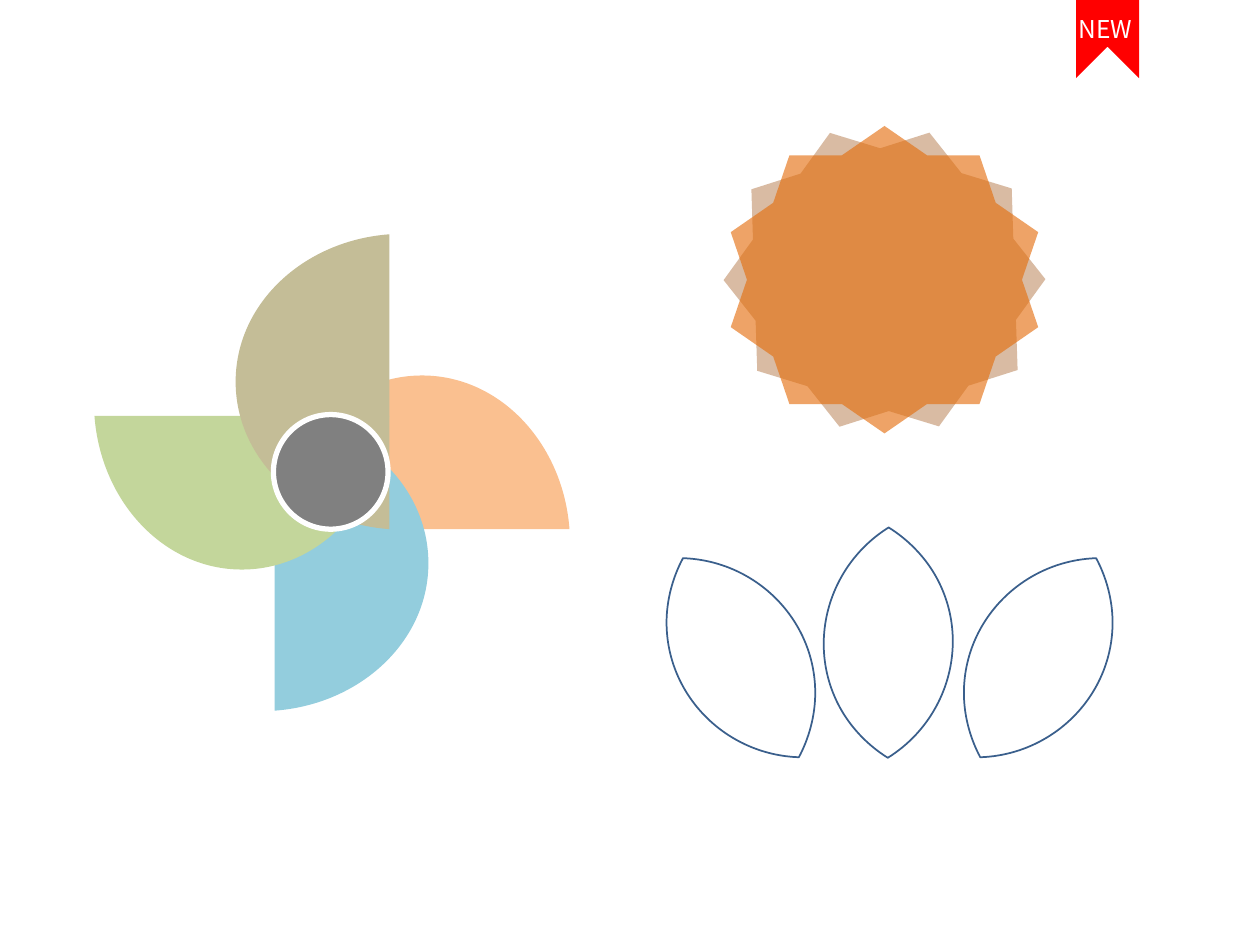
from dataclasses import dataclass

from lxml import etree
from pptx import Presentation
from pptx.dml.color import RGBColor
from pptx.enum.shapes import MSO_SHAPE
from pptx.enum.text import MSO_AUTO_SIZE
from pptx.oxml.ns import qn
from pptx.util import Inches, Pt

ELLIPSE = MSO_SHAPE.OVAL
STAR = MSO_SHAPE.STAR_10_POINT
FIT_TEXT = MSO_AUTO_SIZE.SHAPE_TO_FIT_TEXT


@dataclass(frozen=True)
class Theme:
    orange: str = "FAC090"
    blue: str = "93CDDD"
    green: str = "C3D69B"
    tan: str = "C4BD97"
    hub: str = "808080"
    white: str = "FFFFFF"
    petal_line: str = "3A5F8C"
    star_back: str = "984807"
    star_front: str = "E46C0A"
    ribbon: str = "FF0000"
    font: str = "Noto Sans CJK KR"
    label_size: int = 14


THEME = Theme()

# Outlines around their own centre, in inches: start, straight points, curve points
BLADE = [(-1.17, 0.61), (1.17, 0.61),
         (1.12, -0.07), (0.62, -0.61), (0, -0.61),
         (-0.62, -0.61), (-1.12, -0.07), (-1.17, 0.61)]
PETAL_HALF = [(0.64, 0.54), (0.46, 0.59), (0.28, 0.59),
              (-0.3, 0.59), (-0.77, 0.12), (-0.79, -0.46)]
PETAL = [(0.79, 0.46)] + PETAL_HALF + [(-x, -y) for x, y in PETAL_HALF]
RIBBON = [(-0.31, -0.25), (0.31, -0.25), (0.31, 0.25), (-0.31, 0.25), (-0.06, 0)]


def style(sp, fill=None, line=None, width=1, alpha=None):
    sp.shadow.inherit = False
    if fill:
        sp.fill.solid()
        sp.fill.fore_color.rgb = RGBColor.from_string(fill)
    else:
        sp.fill.background()
    if alpha:
        color = sp._element.spPr.find(qn("a:solidFill"))[0]
        etree.SubElement(color, qn("a:alpha"), val=str(alpha * 1000))
    if line:
        sp.line.color.rgb = RGBColor.from_string(line)
        sp.line.width = Pt(width)
    else:
        sp.line.fill.background()
    return sp


def curve_segments(sp, straight):
    """Join each three segments after the straight ones into one Bezier curve."""
    path = sp._element.find(".//" + qn("a:path"))
    segments = path.findall(qn("a:lnTo"))[straight:]
    for i in range(0, len(segments) - 2, 3):
        curve = etree.Element(qn("a:cubicBezTo"))
        segments[i].addprevious(curve)
        for segment in segments[i:i + 3]:
            curve.append(segment[0])
            path.remove(segment)


def add_outline(shapes, points, center, rotation=0, mirror=False, straight=None, **look):
    cx, cy = center
    sign = -1 if mirror else 1
    placed = [(Inches(cx + x), Inches(cy + sign * y)) for x, y in points]
    builder = shapes.build_freeform(*placed[0], scale=1.0)
    builder.add_line_segments(placed[1:], close=True)
    sp = builder.convert_to_shape()
    if straight is not None:
        curve_segments(sp, straight)
    sp.rotation = rotation
    return style(sp, **look)


def add_preset(shapes, kind, left, top, size, rotation=0, **look):
    sp = shapes.add_shape(kind, Inches(left), Inches(top), Inches(size), Inches(size))
    sp.rotation = rotation
    return style(sp, **look)


def add_label(shapes, text, left, top, width, height):
    box = shapes.add_textbox(Inches(left), Inches(top), Inches(width), Inches(height))
    tf = box.text_frame
    tf.word_wrap = False
    tf.auto_size = FIT_TEXT
    r = tf.paragraphs[0].add_run()
    r.text = text
    r.font.name = THEME.font
    r.font.size = Pt(THEME.label_size)
    r.font.color.rgb = RGBColor.from_string(THEME.white)
    return box


def add_pinwheel(shapes):
    blades = [((3.35, 3.59), 0, False, THEME.orange),
              ((2.79, 4.47), 270, True, THEME.blue),
              ((1.92, 3.91), 0, True, THEME.green),
              ((2.48, 3.03), 90, True, THEME.tan)]
    parts = [add_outline(shapes, BLADE, center, rotation, mirror, straight=1, fill=color)
             for center, rotation, mirror, color in blades]
    parts.append(add_preset(shapes, ELLIPSE, 2.17, 3.29, 0.91,
                            fill=THEME.hub, line=THEME.white, width=3))
    shapes.add_group_shape(parts)


def add_petals(shapes):
    petals = [((7.05, 5.1), 240, False),
              ((8.24, 5.22), 270, False),
              ((5.88, 5.22), 90, True)]
    shapes.add_group_shape([
        add_outline(shapes, PETAL, center, rotation, mirror, straight=0,
                    line=THEME.petal_line)
        for center, rotation, mirror in petals])


def add_badge(shapes):
    stars = [(17, THEME.star_back, 37), (0, THEME.star_front, 62)]
    shapes.add_group_shape([
        add_preset(shapes, STAR, 5.8, 1, 2.44, rotation, fill=color, alpha=alpha)
        for rotation, color, alpha in stars])


def add_ribbon(shapes):
    shapes.add_group_shape([
        add_outline(shapes, RIBBON, (8.79, 0.31), 270, fill=THEME.ribbon),
        add_label(shapes, "NEW", 8.46, 0.06, 0.64, 0.34)])


def main():
    prs = Presentation()
    prs.slide_width, prs.slide_height = Inches(10), Inches(7.5)
    blank = prs.slide_layouts[6]
    shapes = prs.slides.add_slide(blank).shapes

    # Four-bladed wheel on the left
    add_pinwheel(shapes)
    # Three outlined petals at lower right
    add_petals(shapes)
    # Two overlaid translucent stars
    add_badge(shapes)
    # Corner ribbon
    add_ribbon(shapes)

    prs.save("out.pptx")


if __name__ == "__main__":
    main()
